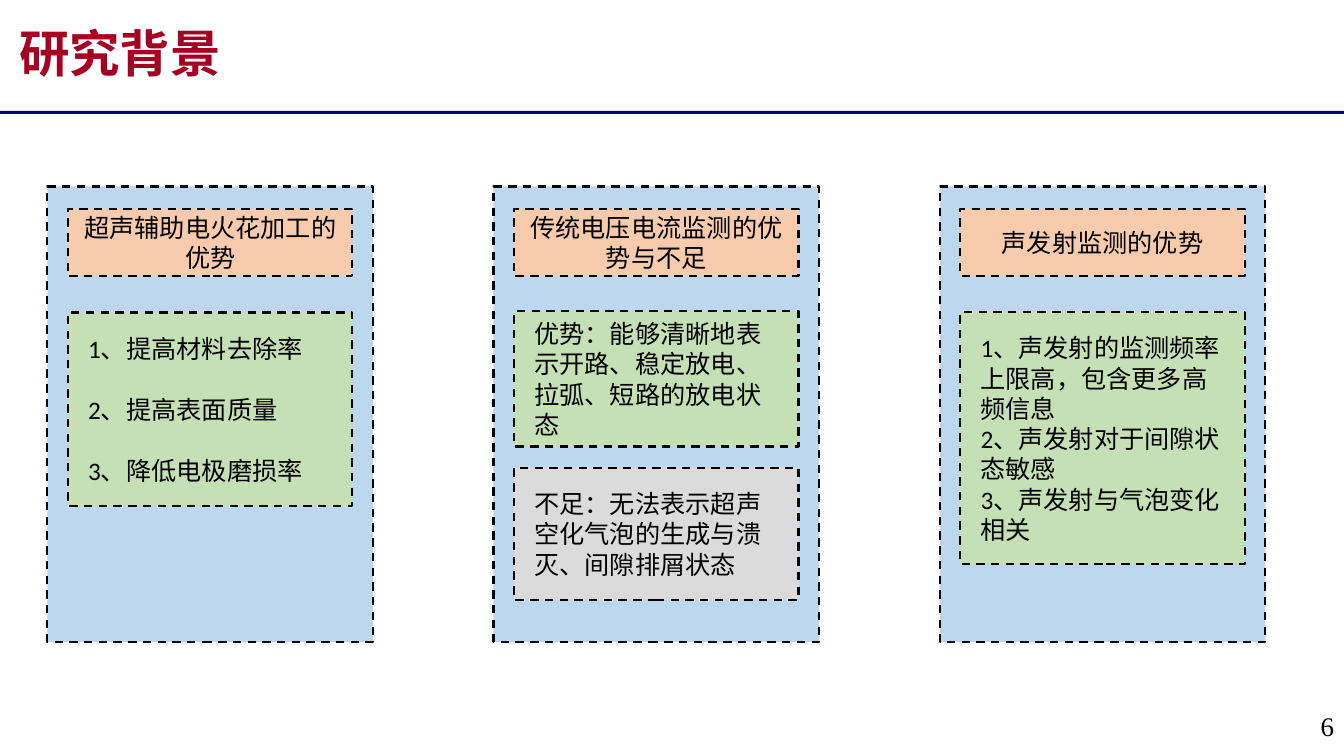
from lxml import etree
from pptx import Presentation
from pptx.dml.color import RGBColor
from pptx.enum.dml import MSO_LINE
from pptx.enum.shapes import MSO_SHAPE as SHAPE
from pptx.enum.text import MSO_ANCHOR as ANCHOR, PP_ALIGN as ALIGN
from pptx.oxml.ns import qn
from pptx.util import Inches, Pt

BLACK = RGBColor(0x00, 0x00, 0x00)
CRIMSON = RGBColor(0xA5, 0x00, 0x21)
NAVY = RGBColor(0x00, 0x00, 0x82)
BLUE = RGBColor(0xBD, 0xD7, 0xEE)
PEACH = RGBColor(0xF8, 0xCB, 0xAD)
GREEN = RGBColor(0xC5, 0xE0, 0xB4)
GREY = RGBColor(0xDB, 0xDB, 0xDB)
CJK = "Noto Sans CJK SC"

# Column grid, in inches
LEFT, TOP, PITCH = 0.47, 1.85, 4.425
PANEL_W, PANEL_H = 3.23, 4.52
BOX_DX, BOX_W = 0.205, 2.82
HEAD_TOP, HEAD_H = 2.07, 0.67

BODY = dict(name="Calibri", size=Pt(18))

# Heading, then boxes: top, height, fill, space between items, items
COLUMNS = [
    ("超声辅助电火花加工的优势", [
        (3.1, 1.92, GREEN, 22,
         ["1、提高材料去除率", "2、提高表面质量", "3、降低电极磨损率"]),
    ]),
    ("传统电压电流监测的优势与不足", [
        (3.09, 1.34, GREEN, 0,
         ["优势：能够清晰地表示开路、稳定放电、拉弧、短路的放电状态"]),
        (4.64, 1.31, GREY, 0,
         ["不足：无法表示超声空化气泡的生成与溃灭、间隙排屑状态"]),
    ]),
    ("声发射监测的优势", [
        (3.1, 2.5, GREEN, 0,
         ["1、声发射的监测频率上限高，包含更多高频信息",
          "2、声发射对于间隙状态敏感",
          "3、声发射与气泡变化相关"]),
    ]),
]


def write(tf, lines, font, color=BLACK, align=ALIGN.LEFT, gap=0, inset=0.1):
    """Fill a text frame, one paragraph per line, with gap points between them."""
    tf.word_wrap = True
    tf.margin_left = tf.margin_right = Inches(inset)
    for i, line in enumerate(lines):
        p = tf.paragraphs[0] if i == 0 else tf.add_paragraph()
        p.alignment = align
        p.space_before = Pt(gap if i else 0)
        r = p.add_run()
        r.text = line
        r.font.color.rgb = color
        for key, value in font.items():
            setattr(r.font, key, value)
        etree.SubElement(r.font._element, qn("a:ea"), typeface=CJK)


def dashed_box(shapes, x, y, w, h, fill):
    sp = shapes.add_shape(SHAPE.RECTANGLE, *map(Inches, (x, y, w, h)))
    sp.shadow.inherit = False
    sp.fill.solid()
    sp.fill.fore_color.rgb = fill
    sp.line.color.rgb = BLACK
    sp.line.width = Pt(1.5)
    sp.line.dash_style = MSO_LINE.DASH
    sp.text_frame.vertical_anchor = ANCHOR.MIDDLE
    return sp


prs = Presentation()
prs.slide_width, prs.slide_height = Inches(13.33), Inches(7.5)
s = prs.slides.add_slide(prs.slide_layouts[5])

title = s.shapes.title
title.left, title.top, title.width, title.height = map(Inches, (0.09, 0.06, 10.24, 0.99))
title.text_frame.vertical_anchor = ANCHOR.MIDDLE
write(title.text_frame, ["研究背景"], dict(name=CJK, size=Pt(36), bold=True), CRIMSON)
title.text_frame.paragraphs[0].line_spacing = 0.9

rule = s.shapes.add_shape(SHAPE.RECTANGLE, 0, Inches(1.1), prs.slide_width, Inches(0.03))
rule.shadow.inherit = False
rule.fill.solid()
rule.fill.fore_color.rgb = NAVY
rule.line.fill.background()

for col, (heading, boxes) in enumerate(COLUMNS):
    x = LEFT + col * PITCH
    shapes = s.shapes.add_group_shape().shapes
    dashed_box(shapes, x, TOP, PANEL_W, PANEL_H, BLUE)
    head = dashed_box(shapes, x + BOX_DX, HEAD_TOP, BOX_W, HEAD_H, PEACH)
    write(head.text_frame, [heading], BODY, align=ALIGN.CENTER)
    for y, h, fill, gap, items in boxes:
        sp = dashed_box(shapes, x + BOX_DX, y, BOX_W, h, fill)
        write(sp.text_frame, items, BODY, gap=gap, inset=0.2)

number = s.shapes.add_textbox(*map(Inches, (11.89, 6.99, 1.44, 0.5)))
write(number.text_frame, ["6"], dict(name="Times New Roman", size=Pt(19.2)), align=ALIGN.RIGHT)

prs.save("out.pptx")
